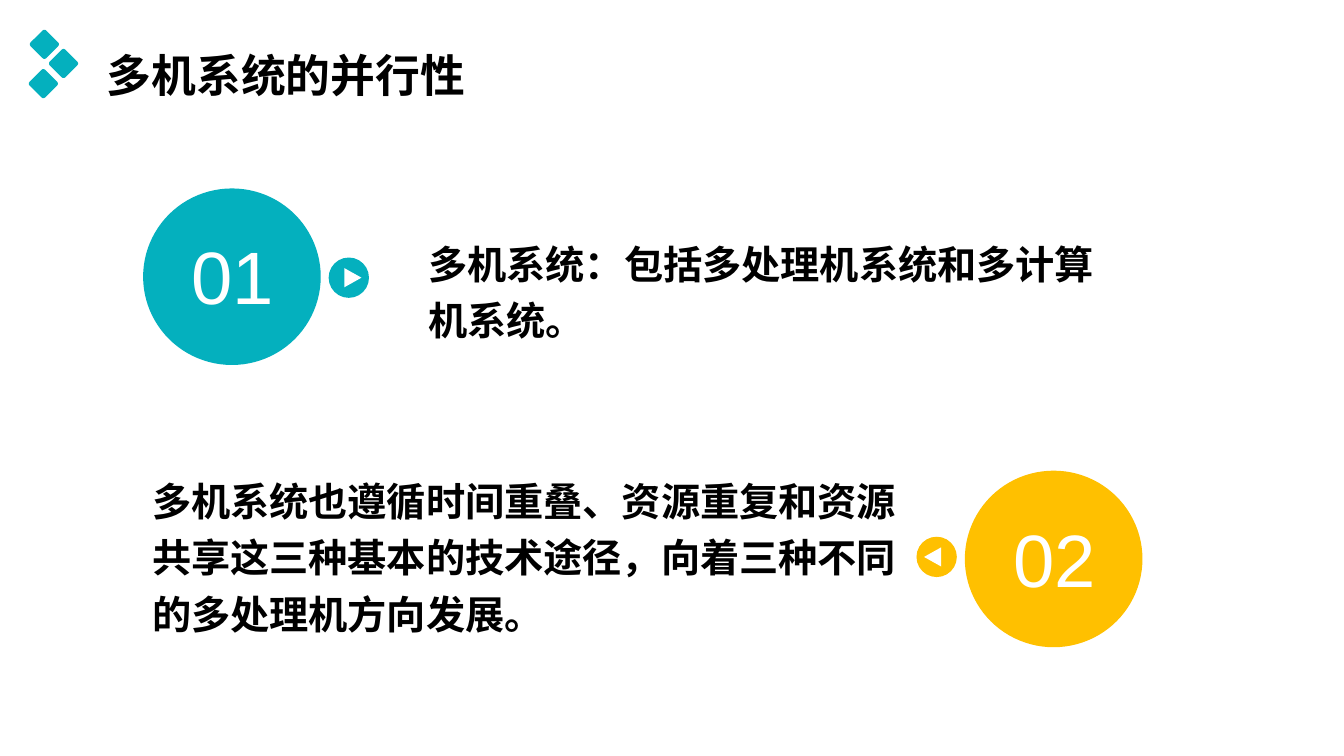
from lxml import etree
from pptx import Presentation
from pptx.dml.color import RGBColor
from pptx.enum.shapes import MSO_SHAPE
from pptx.enum.text import MSO_ANCHOR, PP_ALIGN
from pptx.oxml.ns import qn
from pptx.util import Inches, Pt

CIRCLE = MSO_SHAPE.OVAL
TRIANGLE = MSO_SHAPE.ISOSCELES_TRIANGLE
ROUNDED = MSO_SHAPE.ROUNDED_RECTANGLE
TOP, MIDDLE = MSO_ANCHOR.TOP, MSO_ANCHOR.MIDDLE
LEFT, CENTER = PP_ALIGN.LEFT, PP_ALIGN.CENTER

COLORS = {"teal": "04B0BE", "amber": "FFC000", "white": "FFFFFF", "black": "000000"}
CHINESE, LATIN = "Noto Sans CJK SC", "Arial"


def color(name):
    return RGBColor.from_string(COLORS[name])


def add_text(page, box, text, size=28, font=CHINESE, fill="black", bold=True,
             align=LEFT, anchor=TOP, spacing=1.2):
    frame = page.shapes.add_textbox(*map(Inches, box)).text_frame
    frame.word_wrap = True
    frame.vertical_anchor = anchor
    para = frame.paragraphs[0]
    para.alignment = align
    para.line_spacing = spacing
    span = para.add_run()
    span.text = text
    span.font.name = font
    span.font.size = Pt(size)
    span.font.bold = bold
    span.font.color.rgb = color(fill)
    # East Asian glyphs take their typeface from a separate element
    east_asian = etree.SubElement(span.font._element, qn("a:ea"))
    east_asian.set("typeface", font)


def add_centered(page, kind, center, width, height, fill, rotation=0, line=0):
    x, y = center
    box = (x - width / 2, y - height / 2, width, height)
    shape = page.shapes.add_shape(kind, *map(Inches, box))
    shape.shadow.inherit = False
    shape.rotation = rotation
    shape.fill.solid()
    shape.fill.fore_color.rgb = color(fill)
    if line:
        shape.line.color.rgb = color(fill)
        shape.line.width = Pt(line)
    else:
        shape.line.fill.background()
    return shape


def add_header(page, box, title):
    left, top, width, height = box
    # Three tilted tiles
    for x, y in ((0.44, 0.48), (0.63, 0.67), (0.43, 0.87)):
        tile = add_centered(page, ROUNDED, (left + x, top + y), 0.22, 0.22, "teal", 45)
        tile.adjustments[0] = 0.12
    add_text(page, (left + 0.96, top, width - 0.96, height), title, size=32, anchor=MIDDLE)


def add_number(page, box, number, fill, direction, badge_offset):
    """Numbered circle with an arrow badge; direction is 1 for right, -1 for left."""
    left, top, width, height = box
    x, y = left + width / 2, top + height / 2
    add_centered(page, CIRCLE, (x, y), width, height, fill, line=3)
    add_text(page, (x - 0.6, top + 0.35, 1.22, 0.99), number, size=53, font=LATIN,
             fill="white", bold=False, align=CENTER, spacing=1.0)
    # Arrow badge beside the circle
    badge_x, badge_y = x + direction * 1.16, y + badge_offset
    add_centered(page, CIRCLE, (badge_x, badge_y), 0.4, 0.4, fill)
    add_centered(page, TRIANGLE, (badge_x + direction * 0.04, badge_y), 0.19, 0.17,
                 "white", rotation=direction * 90 % 360)


def main():
    deck = Presentation()
    deck.slide_width, deck.slide_height = Inches(13.33), Inches(7.5)
    page = deck.slides.add_slide(deck.slide_layouts[6])

    add_header(page, (0, -0.04, 12.46, 1.45), "多机系统的并行性")

    # First point: number on the left
    add_number(page, (1.44, 1.89, 1.72, 1.71), "01", "teal", 1, 0.01)
    add_text(page, (4.15, 2.24, 7.16, 1.23), "多机系统：包括多处理机系统和多计算机系统。")

    # Second point: number on the right
    add_number(page, (9.59, 4.69, 1.72, 1.71), "02", "amber", -1, -0.02)
    add_text(page, (1.41, 4.59, 7.94, 1.81),
             "多机系统也遵循时间重叠、资源重复和资源共享这三种基本的技术途径，"
             "向着三种不同的多处理机方向发展。")

    deck.save("out.pptx")


if __name__ == "__main__":
    main()
